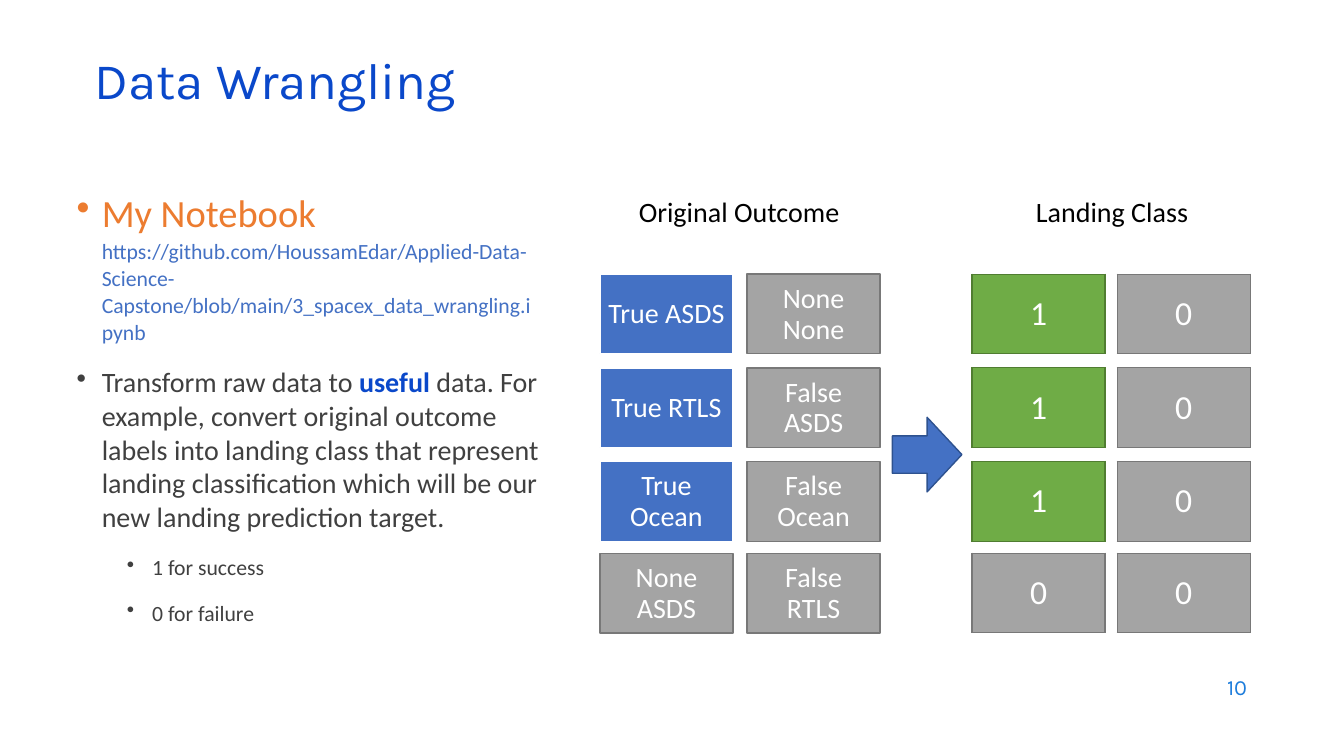
"""Builds the Data Wrangling slide."""
import dataclasses
import itertools

import lxml.etree
import pptx
import pptx.dml.color
import pptx.enum.shapes
import pptx.enum.text
import pptx.oxml
import pptx.oxml.ns
import pptx.util

PX = 9144
ALIGN = pptx.enum.text.PP_ALIGN
ANCHOR = pptx.enum.text.MSO_ANCHOR
SHAPE = pptx.enum.shapes.MSO_SHAPE
NO_GRID_STYLE = "{2D5ABB26-0587-4C30-8999-92F81FD0307C}"


@dataclasses.dataclass(frozen=True)
class Theme:
    """Colours, fonts and type sizes of the slide."""
    title: str = "0A48CA"
    orange: str = "EC7C30"
    blue: str = "4471C4"
    blue_edge: str = "2E528F"
    grey: str = "A4A4A4"
    grey_edge: str = "787878"
    green: str = "6FAC46"
    green_edge: str = "507D31"
    text: str = "404040"
    number: str = "1C7CDB"
    white: str = "FFFFFF"
    black: str = "000000"
    body_font: str = "Calibri"
    title_font: str = "Karla"
    title_size: float = 36.5
    heading_size: float = 27.5
    digit_size: float = 24
    body_size: float = 20
    small_size: float = 15.5


THEME = Theme()
TOP = 272
COLUMN_WIDTH = 132
COLUMN_STEP = 146
TABLE_ROWS = (79, 14, 79, 14, 79, 12, 79)
TABLE_COLUMNS = (132, 12, 132)
OUTCOMES = (("True ASDS", "None None"), ("True RTLS", "False ASDS"),
            ("True Ocean", "False Ocean"), ("None ASDS", "False RTLS"))
CLASSES = (("1", "0"), ("1", "0"), ("1", "0"), ("0", "0"))


def rgb(value):
    """Turn a hex string into a colour."""
    return pptx.dml.color.RGBColor.from_string(value)


def px(*values):
    """Turn px lengths into EMU."""
    return [pptx.util.Emu(value * PX) for value in values]


def add_run(paragraph, text, size, color, font=THEME.body_font, bold=False):
    """Add one formatted run."""
    run = paragraph.add_run()
    run.text = text
    run.font.size = pptx.util.Pt(size)
    run.font.name = font
    run.font.bold = bold
    run.font.color.rgb = rgb(color)


def set_frame(frame, margins=(0, 0, 0, 0), anchor=ANCHOR.TOP):
    """Set the insets, wrapping and anchor of a text frame."""
    frame.word_wrap = True
    frame.auto_size = pptx.enum.text.MSO_AUTO_SIZE.NONE
    frame.vertical_anchor = anchor
    (frame.margin_left, frame.margin_top,
     frame.margin_right, frame.margin_bottom) = px(*margins)


def add_text_box(slide, box, margins):
    """Add an empty text box and return its frame."""
    frame = slide.shapes.add_textbox(*px(*box)).text_frame
    set_frame(frame, margins)
    return frame


def set_indent(paragraph, left, bullet):
    """Set the left indent and the bullet of a paragraph."""
    properties = paragraph._p.get_or_add_pPr()
    properties.set("marL", str(left * PX))
    properties.set("indent", str(-25 * PX if bullet else 0))
    name = "a:buChar" if bullet else "a:buNone"
    mark = lxml.etree.SubElement(properties, pptx.oxml.ns.qn(name))
    if bullet:
        mark.set("char", "•")


def add_shape(slide, preset, box, fill, edge):
    """Add a flat preset shape with a thin outline."""
    shape = slide.shapes.add_shape(preset, *px(*box))
    shape.shadow.inherit = False
    shape.fill.solid()
    shape.fill.fore_color.rgb = rgb(fill)
    shape.line.color.rgb = rgb(edge)
    shape.line.width = pptx.util.Pt(1)
    return shape


def add_title(slide):
    """Place and format the title."""
    title = slide.shapes.title
    title.left, title.top, title.width, title.height = px(92, 27, 1149, 108)
    set_frame(title.text_frame, (2, 21, 0, 0))
    paragraph = title.text_frame.paragraphs[0]
    paragraph.alignment = ALIGN.LEFT
    add_run(paragraph, "Data Wrangling", THEME.title_size, THEME.title, THEME.title_font)


def add_notes_column(slide):
    """Add the bulleted text on the left."""
    link = ("https://github.com/HoussamEdar/Applied-Data- Science- "
            "Capstone/blob/main/3_spacex_data_wrangling.i pynb")
    explanation = (" data. For example, convert original outcome labels into landing class "
                   "that represent landing classification which will be our new landing "
                   "prediction target.")
    entries = (
        (0, True, 0, THEME.heading_size, [("My Notebook", THEME.orange, False)]),
        (0, False, 1, THEME.small_size, [(link, THEME.blue, False)]),
        (0, True, 14, THEME.body_size, [("Transform raw data to ", THEME.text, False),
                                        ("useful", THEME.title, True),
                                        (explanation, THEME.text, False)]),
        (1, True, 15, THEME.small_size, [("1 for success", THEME.text, False)]),
        (1, True, 14, THEME.small_size, [("0 for failure", THEME.text, False)]),
    )
    frame = add_text_box(slide, (75, 183, 466, 439), (0, 5, 0, 0))
    for index, (level, bullet, before, size, runs) in enumerate(entries):
        paragraph = frame.add_paragraph() if index else frame.paragraphs[0]
        paragraph.level = level
        set_indent(paragraph, 26 + 50 * level, bullet)
        if before:
            paragraph.space_before = pptx.util.Pt(before)
        if not bullet:
            paragraph.line_spacing = 1.04
        for text, color, bold in runs:
            add_run(paragraph, text, size, color, bold=bold)


def add_heading(slide, text, left, width):
    """Add the heading above a group of cells."""
    paragraph = add_text_box(slide, (left, 191, width, 37), (0, 2, 0, 0)).paragraphs[0]
    paragraph.alignment = ALIGN.CENTER
    add_run(paragraph, text, THEME.body_size, THEME.black)


def add_outcomes(slide):
    """Add the grid of original outcomes."""
    tops = list(itertools.accumulate(TABLE_ROWS, initial=TOP))[::2]
    for top, labels, classes in zip(tops, OUTCOMES, CLASSES):
        for column, (label, landing) in enumerate(zip(labels, classes)):
            success = landing == "1"
            fill, edge = (THEME.blue, THEME.white) if success else (THEME.grey, THEME.grey_edge)
            box = (595 + column * COLUMN_STEP, top, COLUMN_WIDTH, TABLE_ROWS[0])
            shape = add_shape(slide, SHAPE.RECTANGLE, box, fill, edge)
            side = 0 if label in ("True ASDS", "True RTLS") else 25
            set_frame(shape.text_frame, (side, 0, side, 0), ANCHOR.MIDDLE)
            paragraph = shape.text_frame.paragraphs[0]
            paragraph.alignment = ALIGN.CENTER
            paragraph.line_spacing = pptx.util.Pt(22)
            add_run(paragraph, label, THEME.body_size, THEME.white)


def edge_color(row, column):
    """Return the outline colour of a filled table cell, or None for a gap."""
    if row not in range(0, 7, 2) or column not in (0, 2):
        return None
    return THEME.green_edge if CLASSES[row // 2][column // 2] == "1" else THEME.grey_edge


def add_borders(cell, row, column):
    """Outline a cell, sharing the edges of its filled neighbours."""
    properties = cell._tc.get_or_add_tcPr()
    sides = (("lnL", 0, -1), ("lnR", 0, 1), ("lnT", -1, 0), ("lnB", 1, 0))
    for index, (name, down, across) in enumerate(sides):
        color = edge_color(row, column) or edge_color(row + down, column + across)
        content = f'<a:solidFill><a:srgbClr val="{color}"/></a:solidFill>' if color else "<a:noFill/>"
        properties.insert(index, pptx.oxml.parse_xml(
            f'<a:{name} {pptx.oxml.ns.nsdecls("a")} w="12700">{content}</a:{name}>'))


def add_classes(slide):
    """Add the table of landing classes."""
    box = px(964, TOP, sum(TABLE_COLUMNS), sum(TABLE_ROWS))
    table = slide.shapes.add_table(len(TABLE_ROWS), len(TABLE_COLUMNS), *box).table
    table.first_row = table.horz_banding = False
    table._tbl.tblPr.find(pptx.oxml.ns.qn("a:tableStyleId")).text = NO_GRID_STYLE
    for track, size in zip([*table.columns], px(*TABLE_COLUMNS)):
        track.width = size
    for track, size in zip([*table.rows], px(*TABLE_ROWS)):
        track.height = size
    for row, column in itertools.product(range(len(TABLE_ROWS)), range(len(TABLE_COLUMNS))):
        cell = table.cell(row, column)
        cell.margin_left = cell.margin_right = cell.margin_top = cell.margin_bottom = 0
        cell.vertical_anchor = ANCHOR.MIDDLE
        paragraph = cell.text_frame.paragraphs[0]
        if edge_color(row, column):
            landing = CLASSES[row // 2][column // 2]
            cell.fill.solid()
            cell.fill.fore_color.rgb = rgb(THEME.green if landing == "1" else THEME.grey)
            paragraph.alignment = ALIGN.CENTER
            add_run(paragraph, landing, THEME.digit_size, THEME.white)
        else:
            cell.fill.background()
            lxml.etree.SubElement(paragraph._p, pptx.oxml.ns.qn("a:endParaRPr")).set("sz", "200")
        add_borders(cell, row, column)


def add_page_number(slide):
    """Add the page number."""
    paragraph = add_text_box(slide, (1213, 672, 37, 25), (4, 0, 0, 0)).paragraphs[0]
    paragraph.line_spacing = pptx.util.Pt(15.9)
    add_run(paragraph, "10", THEME.small_size, THEME.number, THEME.title_font)


def main():
    """Build and save the slide."""
    presentation = pptx.Presentation()
    presentation.slide_width, presentation.slide_height = px(1333, 750)
    slide = presentation.slides.add_slide(presentation.slide_layouts[5])
    add_title(slide)
    add_notes_column(slide)
    add_outcomes(slide)
    add_classes(slide)
    add_heading(slide, "Original Outcome", 632, 202)
    add_heading(slide, "Landing Class", 1026, 154)
    add_shape(slide, SHAPE.RIGHT_ARROW, (885, 414, 69, 74), THEME.blue, THEME.blue_edge)
    add_page_number(slide)
    presentation.save("out.pptx")


if __name__ == "__main__":
    main()
